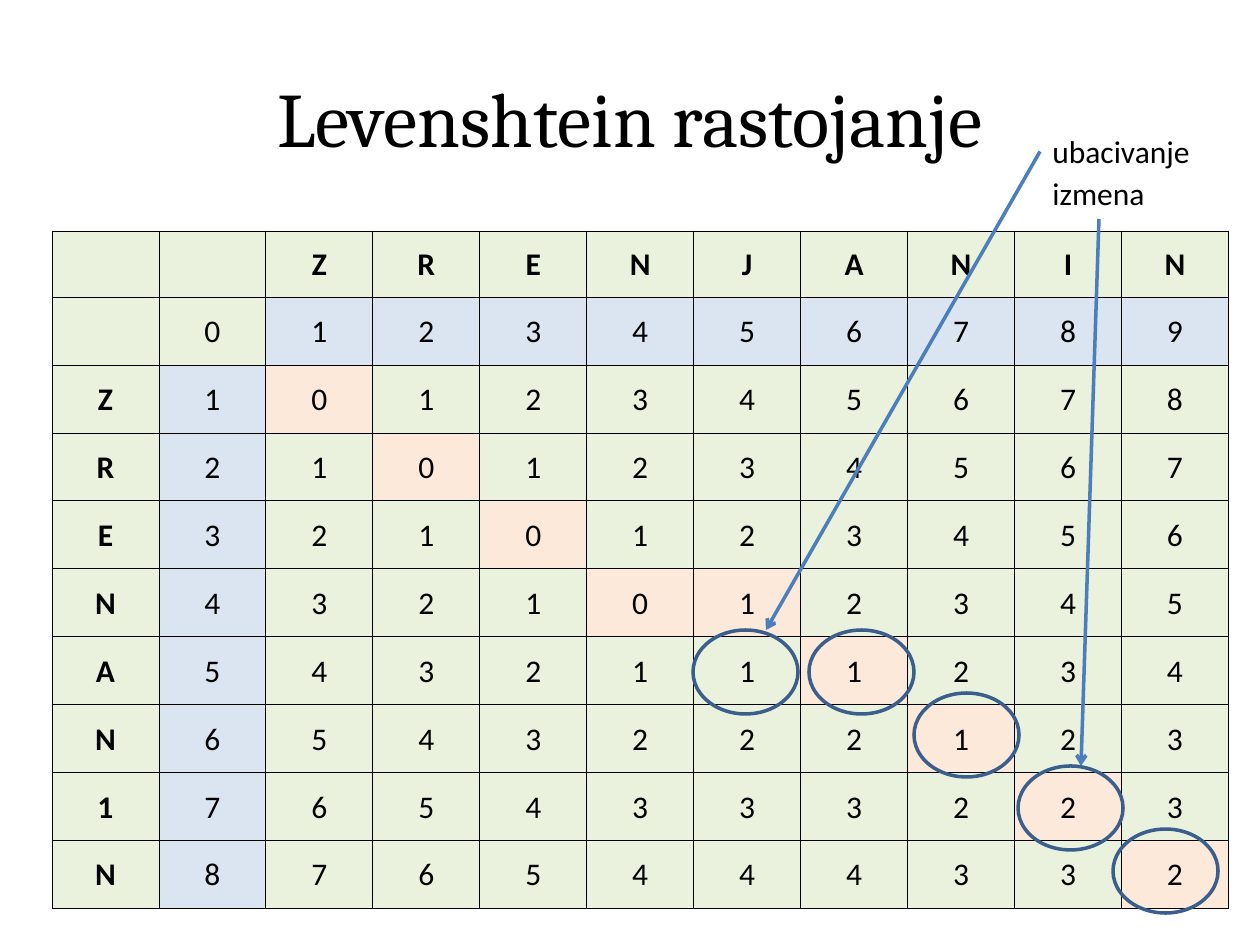
import pptx
import pptx.dml.color
import pptx.enum.shapes
import pptx.enum.text
import pptx.oxml
import pptx.oxml.ns
import pptx.util

RGB = pptx.dml.color.RGBColor
BLACK = RGB(0x00, 0x00, 0x00)
GREEN = RGB(0xEA, 0xF1, 0xDD)
BLUE = RGB(0xDB, 0xE5, 0xF1)
PEACH = RGB(0xFD, 0xE9, 0xD9)
RING_BLUE = RGB(0x3A, 0x5F, 0x8C)
ARROW_BLUE = RGB(0x4B, 0x7E, 0xBC)

TARGET_WORD = "ZRENJANIN"
SOURCE_WORD = "ZRENAN1N"
EDIT_PATH = {(2, 2), (3, 3), (4, 4), (5, 5), (5, 6), (6, 7), (7, 8), (8, 9), (9, 10)}
RING_CORNERS = [(693, 630), (809, 630), (914, 693), (1018, 766), (1113, 829)]


def px(length):
    return pptx.util.Emu(round(length * 914400 / 126))


def apply_format(target, values):
    for name, value in values.items():
        setattr(target, name, value)


def place(target, left, top, width, height):
    apply_format(target, {"left": px(left), "top": px(top),
                          "width": px(width), "height": px(height)})


def edit_distances(source, target):
    rows = [list(range(len(target) + 1))]
    for number, source_letter in enumerate(source, 1):
        row = [number]
        for column, target_letter in enumerate(target):
            change = rows[-1][column] + (source_letter != target_letter)
            row.append(min(change, row[-1] + 1, rows[-1][column + 1] + 1))
        rows.append(row)
    return rows


def cell_fill(row, column):
    if (row, column) in EDIT_PATH:
        return PEACH
    if (row == 1 and column > 1) or (column == 1 and row > 1):
        return BLUE
    return GREEN


class SlideBuilder:
    BODY_FONT = {"name": "Calibri", "size": pptx.util.Pt(18), "bold": False}
    TITLE_FONT = {"name": "Cambria", "size": pptx.util.Pt(44), "bold": False}
    CELL = {"margin_left": px(1), "margin_right": px(1), "margin_top": px(1),
            "margin_bottom": 0,
            "vertical_anchor": pptx.enum.text.MSO_ANCHOR.MIDDLE}
    LINE_WIDTH = pptx.util.Pt(2)

    def __init__(self, slide):
        self.slide = slide

    def set_text(self, paragraph, text, font, alignment):
        paragraph.text = text
        paragraph.alignment = alignment
        apply_format(paragraph.font, font)
        paragraph.font.color.rgb = BLACK

    def title(self, text, *box):
        heading = self.slide.shapes.title
        place(heading, *box)
        heading.text_frame.vertical_anchor = pptx.enum.text.MSO_ANCHOR.MIDDLE
        self.set_text(heading.text_frame.paragraphs[0], text, self.TITLE_FONT,
                      pptx.enum.text.PP_ALIGN.CENTER)

    def border(self, cell):
        properties = cell._tc.get_or_add_tcPr()
        for side in ("lnL", "lnR", "lnT", "lnB"):
            properties.append(pptx.oxml.parse_xml(
                f'<a:{side} {pptx.oxml.ns.nsdecls("a")} w="6350"><a:solidFill>'
                f'<a:srgbClr val="{BLACK}"/></a:solidFill></a:{side}>'))

    def table(self, entries, left, top, column_width, row_heights):
        column_count = len(entries[0])
        grid = self.slide.shapes.add_table(
            len(entries), column_count, px(left), px(top),
            px(column_width * column_count), px(sum(row_heights))).table
        apply_format(grid, {"first_row": False, "horz_banding": False})
        for column in grid.columns:
            column.width = px(column_width)
        for row, height in zip(grid.rows, row_heights):
            row.height = px(height)
        for r, row in enumerate(entries):
            for c, entry in enumerate(row):
                cell = grid.cell(r, c)
                apply_format(cell, self.CELL)
                self.border(cell)
                cell.fill.solid()
                cell.fill.fore_color.rgb = cell_fill(r, c)
                self.set_text(cell.text_frame.paragraphs[0], str(entry),
                              self.BODY_FONT | {"bold": r == 0 or c == 0},
                              pptx.enum.text.PP_ALIGN.CENTER)

    def ring(self, left, top, width, height):
        ellipse = self.slide.shapes.add_shape(
            pptx.enum.shapes.MSO_SHAPE.OVAL, px(left), px(top), px(width), px(height))
        ellipse.shadow.inherit = False
        ellipse.fill.background()
        ellipse.line.color.rgb = RING_BLUE
        ellipse.line.width = self.LINE_WIDTH

    def label(self, text, left, top, width, height):
        caption = self.slide.shapes.add_textbox(px(left), px(top), px(width), px(height))
        apply_format(caption.text_frame, {
            "word_wrap": False,
            "auto_size": pptx.enum.text.MSO_AUTO_SIZE.SHAPE_TO_FIT_TEXT})
        self.set_text(caption.text_frame.paragraphs[0], text, self.BODY_FONT,
                      pptx.enum.text.PP_ALIGN.LEFT)
        return caption

    def arrow(self, caption, side, end_x, end_y):
        pointer = self.slide.shapes.add_connector(
            pptx.enum.shapes.MSO_CONNECTOR.STRAIGHT,
            caption.left, caption.top, px(end_x), px(end_y))
        pointer.begin_connect(caption, side)
        pointer.line.color.rgb = ARROW_BLUE
        pointer.line.width = self.LINE_WIDTH
        namespace = pptx.oxml.ns.nsdecls("a")
        pointer.line._get_or_add_ln().append(
            pptx.oxml.parse_xml(f'<a:tailEnd {namespace} type="arrow"/>'))
        pointer._element.spPr.append(pptx.oxml.parse_xml(f"<a:effectLst {namespace}/>"))


def main():
    deck = pptx.Presentation()
    apply_format(deck, {"slide_width": px(1260), "slide_height": px(945)})
    builder = SlideBuilder(deck.slides.add_slide(deck.slide_layouts[5]))

    distances = edit_distances(SOURCE_WORD, TARGET_WORD)
    entries = [["", "", *TARGET_WORD]]
    entries += [[letter, *row] for letter, row in zip(["", *SOURCE_WORD], distances)]
    builder.table(entries, 52, 231, 107, [66] + [68] * len(distances))

    builder.title("Levenshtein rastojanje", 63, 38, 1134, 157)
    for left, top in RING_CORNERS:
        builder.ring(left, top, 105, 84)

    insertion = builder.label("ubacivanje", 1040, 126, 164, 51)
    builder.arrow(insertion, 1, 766, 630)
    change = builder.label("izmena", 1040, 168, 118, 51)
    builder.arrow(change, 2, 1081, 766)

    deck.save("out.pptx")


if __name__ == "__main__":
    main()
